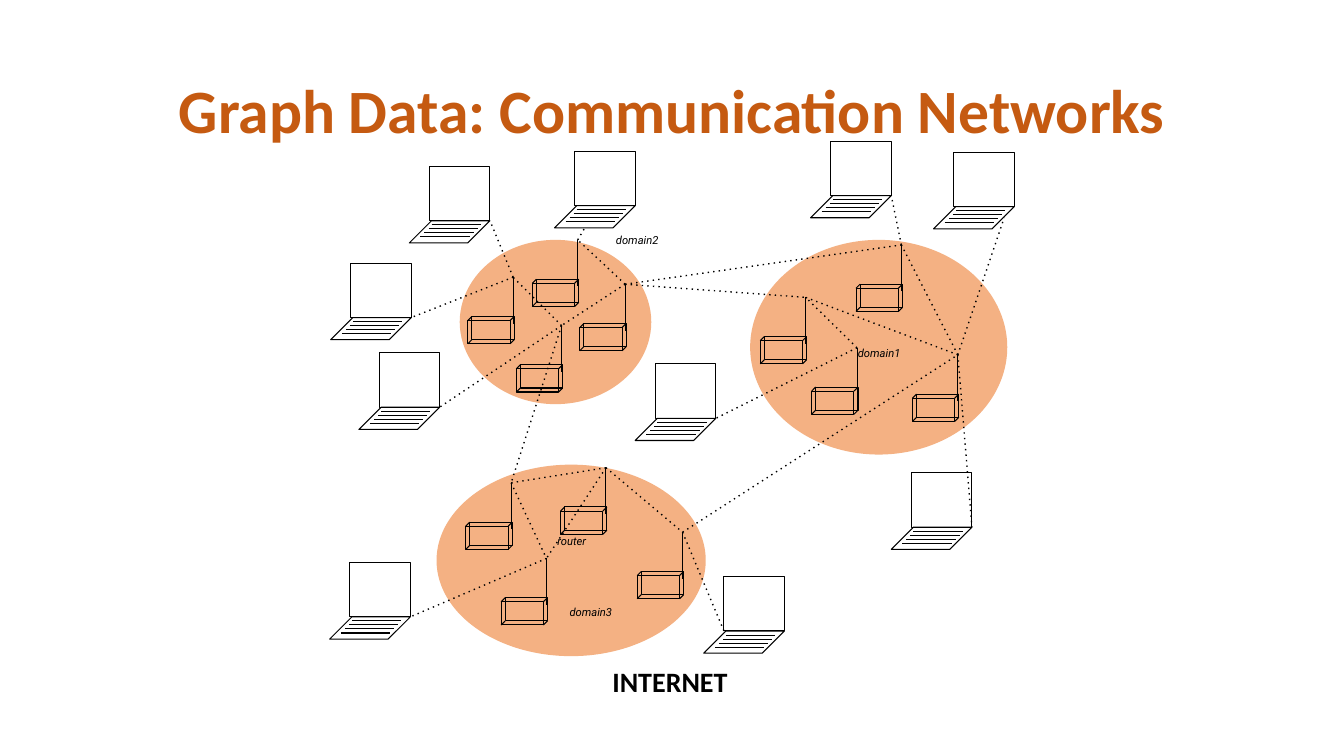
from lxml import etree
from pptx import Presentation
from pptx.dml.color import RGBColor
from pptx.enum import dml, shapes, text
from pptx.oxml.ns import qn
from pptx.util import Pt

PX = 9144  # EMU per px, 100 px to the inch
BLACK, ORANGE, PEACH = "000000", "C55A11", "F4B183"

TITLE = ("Graph Data: Communication Networks", (92, 40, 1150, 145))
CAPTION = ("INTERNET", (597, 654, 135, 44))
LABELS = [
    ("domain2", (601, 227, 115, 39)),
    ("domain1", (841, 339, 115, 39)),
    ("domain3", (555, 596, 115, 39)),
    ("router", (543, 525, 90, 39)),
]
DOMAINS = [(744, 238, 255, 213), (456, 238, 190, 163), (433, 461, 267, 190)]

# Left and top of each keyboard
LAPTOPS = {
    "A": (406, 219), "B": (328, 315), "C": (356, 404), "D": (550, 204),
    "E": (804, 194), "F": (327, 612), "G": (698, 626), "H": (630, 415),
    "I": (884, 523), "J": (926, 205),
}
# Left and top of each router's front face; the digit is its domain
ROUTERS = {
    "1a": (754, 338), "1b": (849, 286), "1c": (905, 395), "1d": (805, 388),
    "2a": (464, 318), "2b": (575, 325), "2c": (512, 366), "2d": (528, 281),
    "3a": (497, 597), "3b": (462, 522), "3c": (556, 507), "3d": (632, 571),
}
ROUTER_LINKS = [
    ("2c", "2a"), ("2b", "2c"), ("2b", "2d"), ("2c", "3b"), ("3c", "3a"),
    ("3c", "3d"), ("3c", "3b"), ("3b", "3a"), ("1d", "1a"), ("2b", "1a"),
    ("2b", "1b"), ("1c", "1b"), ("1c", "1a"), ("3d", "1c"),
]
# Router, laptop, point of the keyboard where the link ends
LAPTOP_LINKS = [
    ("2a", "B", "corner"), ("2a", "A", "corner"), ("2d", "D", "bottom"),
    ("2c", "C", "corner"), ("3a", "F", "corner"), ("3d", "G", "left"),
    ("1d", "H", "corner"), ("1b", "E", "corner"), ("1c", "J", "side"),
    ("1c", "I", "corner"),
]
PORTS = {"corner": (80, 0), "side": (70, 11), "bottom": (30, 22), "left": (20, 0)}
KEY_ROWS = [(22, 4), (19, 8), (15, 12), (11, 16)]
KEY_WIDTH = 49
FACE_W, FACE_H, DEPTH = 42, 23, 4

prs = Presentation()
prs.slide_width, prs.slide_height = 1333 * PX, 750 * PX
slide = prs.slides.add_slide(prs.slide_layouts[6])


def color(value):
    return RGBColor.from_string(value)


def emu(lengths):
    return [length * PX for length in lengths]


def add_text(words, box, size, font="Calibri", ink=BLACK, bold=False, italic=False,
             align=text.PP_ALIGN.LEFT, anchor=text.MSO_ANCHOR.TOP, wrap=True, spacing=None):
    frame = slide.shapes.add_textbox(*emu(box)).text_frame
    frame.word_wrap = wrap
    frame.vertical_anchor = anchor
    line = frame.paragraphs[0]
    line.alignment = align
    line.line_spacing = spacing
    run = line.add_run()
    run.text = words
    run.font.name, run.font.size = font, Pt(size)
    run.font.bold, run.font.italic = bold, italic
    run.font.color.rgb = color(ink)


def add_outline(kind, box, fill=None):
    """A filled shape has no line; an empty one has a thin black line."""
    outline = slide.shapes.add_shape(kind, *emu(box))
    outline.shadow.inherit = False
    if fill:
        outline.fill.solid()
        outline.fill.fore_color.rgb = color(fill)
        outline.line.fill.background()
    else:
        outline.fill.background()
        outline.line.color.rgb = color(BLACK)
        outline.line.width = Pt(0.75)
    return outline


def add_line(start, end, dotted=False):
    link = slide.shapes.add_connector(shapes.MSO_CONNECTOR.STRAIGHT, *emu(start + end))
    link.line.color.rgb = color(BLACK)
    link.line.width = Pt(1 if dotted else 0.75)
    if dotted:
        link.line.dash_style = dml.MSO_LINE.ROUND_DOT
        link._element.find(".//" + qn("a:prstDash")).set("val", "dot")
    etree.SubElement(link._element.spPr, qn("a:effectLst"))


def add_laptop(x, y):
    keyboard = add_outline(shapes.MSO_SHAPE.PARALLELOGRAM, (x, y, 80, 22))
    keyboard.adjustments[0] = 1
    add_outline(shapes.MSO_SHAPE.RECTANGLE, (x + 20, y - 54, 60, 54))
    for dx, dy in KEY_ROWS:
        add_line((x + dx, y + dy), (x + dx + KEY_WIDTH, y + dy))


def antenna_tip(router):
    x, y = ROUTERS[router]
    return x + 45, y - 43


def add_router(router):
    x, y = ROUTERS[router]
    for shift in (0, DEPTH):
        add_outline(shapes.MSO_SHAPE.RECTANGLE, (x + shift, y - shift, FACE_W, FACE_H))
    for cx in (x, x + FACE_W):
        for cy in (y, y + FACE_H):
            add_line((cx, cy), (cx + DEPTH, cy - DEPTH))
    add_line((x + 45, y + 3), antenna_tip(router))


# Title and caption
add_text(*TITLE, 44, ink=ORANGE, bold=True, align=text.PP_ALIGN.CENTER,
         anchor=text.MSO_ANCHOR.MIDDLE, spacing=0.9)
add_text(*CAPTION, 20, bold=True, align=text.PP_ALIGN.CENTER, wrap=False)

# Domains and their devices
for domain in DOMAINS:
    add_outline(shapes.MSO_SHAPE.OVAL, domain, fill=PEACH)
for corner in LAPTOPS.values():
    add_laptop(*corner)
for router in ROUTERS:
    add_router(router)

# Dotted links
for first, second in ROUTER_LINKS:
    add_line(antenna_tip(first), antenna_tip(second), dotted=True)
for router, laptop, port in LAPTOP_LINKS:
    (x, y), (dx, dy) = LAPTOPS[laptop], PORTS[port]
    add_line(antenna_tip(router), (x + dx, y + dy), dotted=True)

# Labels
for words, box in LABELS:
    add_text(words, box, 8, font="Roboto", italic=True)

prs.save("out.pptx")
